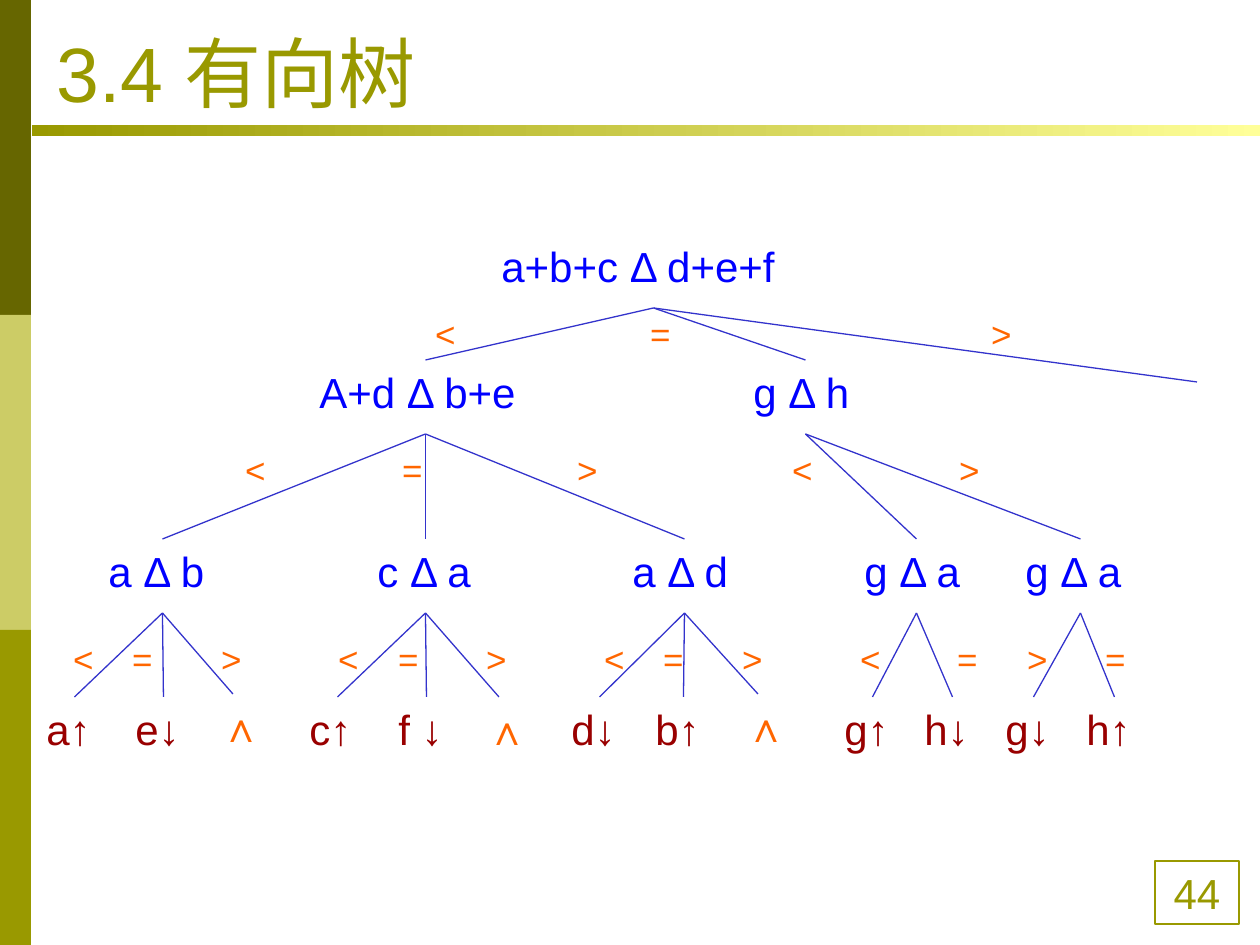
from lxml.etree import SubElement
from pptx import Presentation
from pptx.dml.color import RGBColor
from pptx.enum.shapes import MSO_CONNECTOR as Link, MSO_SHAPE as Preset
from pptx.enum.text import MSO_ANCHOR as Anchor, PP_ALIGN as Align
from pptx.oxml.ns import qn
from pptx.util import Emu, Pt

COLORS = {
    "dark": "666600", "light": "CCCC66", "olive": "999900", "pale": "FFFF99",
    "node": "0000FF", "leaf": "990000", "sign": "FF6600", "edge": "3333CC",
}
SCALE = 914400 / 126
INSET = 13


def px(*lengths):
    return [Emu(round(length * SCALE)) for length in lengths]


def write(shape, text, size, color, tabs=()):
    frame = shape.text_frame
    frame.word_wrap = True
    frame.text = text
    para = frame.paragraphs[0]
    if tabs:
        tab_list = SubElement(para._p.get_or_add_pPr(), qn("a:tabLst"))
        for stop in tabs:
            SubElement(tab_list, qn("a:tab"), pos=str(px(stop)[0]), algn="ctr")
    for span in para.runs:
        span.font.name = "Arial"
        span.font.size = Pt(size)
        span.font.color.rgb = RGBColor.from_string(COLORS[color])


deck = Presentation()
deck.slide_width, deck.slide_height = px(1260, 945)
page = deck.slides.add_slide(deck.slide_layouts[6])
shapes = page.shapes

for row, color in enumerate(["dark", "light", "olive"]):
    band = shapes.add_shape(Preset.RECTANGLE, *px(0, 315 * row, 31, 315))
    band.shadow.inherit = False
    band.fill.solid()
    band.fill.fore_color.rgb = RGBColor.from_string(COLORS[color])
    band.line.fill.background()

number = shapes.add_shape(Preset.RECTANGLE, *px(1155, 861, 84, 63))
number.shadow.inherit = False
number.fill.background()
number.line.color.rgb = RGBColor.from_string(COLORS["olive"])
number.line.width = Pt(0.75)
write(number, "44", 24, "olive")
number.text_frame.vertical_anchor = Anchor.MIDDLE
number.text_frame.paragraphs[0].alignment = Align.CENTER

rule = shapes.add_shape(Preset.RECTANGLE, *px(32, 125, 1228, 11))
rule.shadow.inherit = False
rule.line.fill.background()
rule.fill.gradient()
rule.fill.gradient_angle = 0
for stop, color, position in zip(rule.fill.gradient_stops, ["olive", "pale"], [0, 1]):
    stop.color.rgb = RGBColor.from_string(COLORS[color])
    stop.position = position

NODE_HEIGHT = 74
tree = [
    ("root", None, "a+b+c Δ d+e+f", 489, 234, 329, "node"),
    ("less", "root", "A+d Δ b+e", 307, 360, 237, "node"),
    ("equal", "root", "g Δ h", 741, 360, 129, "node"),
    ("ab", "less", "a Δ b", 96, 539, 133, "node"),
    ("ca", "less", "c Δ a", 365, 539, 121, "node"),
    ("ad", "less", "a Δ d", 620, 539, 129, "node"),
    ("ga left", "equal", "g Δ a", 852, 539, 129, "node"),
    ("ga right", "equal", "g Δ a", 1013, 539, 135, "node"),
    ("a", "ab", "a↑", 34, 697, 81, "leaf"),
    ("e", "ab", "e↓", 123, 697, 81, "leaf"),
    ("ab none", "ab", "∧", 208, 694, 50, "sign"),
    ("c", "ca", "c↑", 297, 697, 81, "leaf"),
    ("f", "ca", "f ↓", 386, 697, 81, "leaf"),
    ("ca none", "ca", "∧", 474, 697, 50, "sign"),
    ("d", "ad", "d↓", 559, 697, 81, "leaf"),
    ("b", "ad", "b↑", 643, 697, 81, "leaf"),
    ("ad none", "ad", "∧", 733, 694, 50, "sign"),
    ("g up", "ga left", "g↑", 832, 697, 81, "leaf"),
    ("h down", "ga left", "h↓", 912, 697, 81, "leaf"),
    ("g down", "ga right", "g↓", 993, 697, 81, "leaf"),
    ("h up", "ga right", "h↑", 1074, 697, 81, "leaf"),
]
boxes = {}
for name, parent, label, left, top, width, color in tree:
    box = shapes.add_textbox(*px(left, top, width, NODE_HEIGHT))
    write(box, label, 24, color)
    boxes[name] = box

edges = [(parent, name) for name, parent, *rest in tree if parent]
for parent, child in edges + [("root", None)]:
    edge = shapes.add_connector(Link.STRAIGHT, *px(653, 308, 1197, 382))
    edge.begin_connect(boxes[parent], 2)
    if child:
        edge.end_connect(boxes[child], 0)
    edge.line.color.rgb = RGBColor.from_string(COLORS["edge"])
    edge.line.width = Pt(0.75)
    SubElement(edge._element.spPr, qn("a:effectLst"))

sign_rows = [
    (43, 631, "<=><=><=><=>=",
     [84, 143, 232, 349, 409, 497, 615, 674, 753, 871, 968, 1038, 1116]),
    (39, 442, "<=><>", [256, 413, 588, 803, 970]),
    (54, 306, "<=>", [446, 661, 1002]),
]
for left, top, signs, centers in sign_rows:
    box = shapes.add_textbox(*px(left, top, 1130, 55))
    tabs = [center - left - INSET for center in centers]
    write(box, "".join("\t" + sign for sign in signs), 20, "sign", tabs)

title = shapes.add_textbox(*px(44, 16, 1134, 108))
write(title, "3.4 有向树", 44, "olive")
title.text_frame.vertical_anchor = Anchor.BOTTOM

deck.save("out.pptx")
